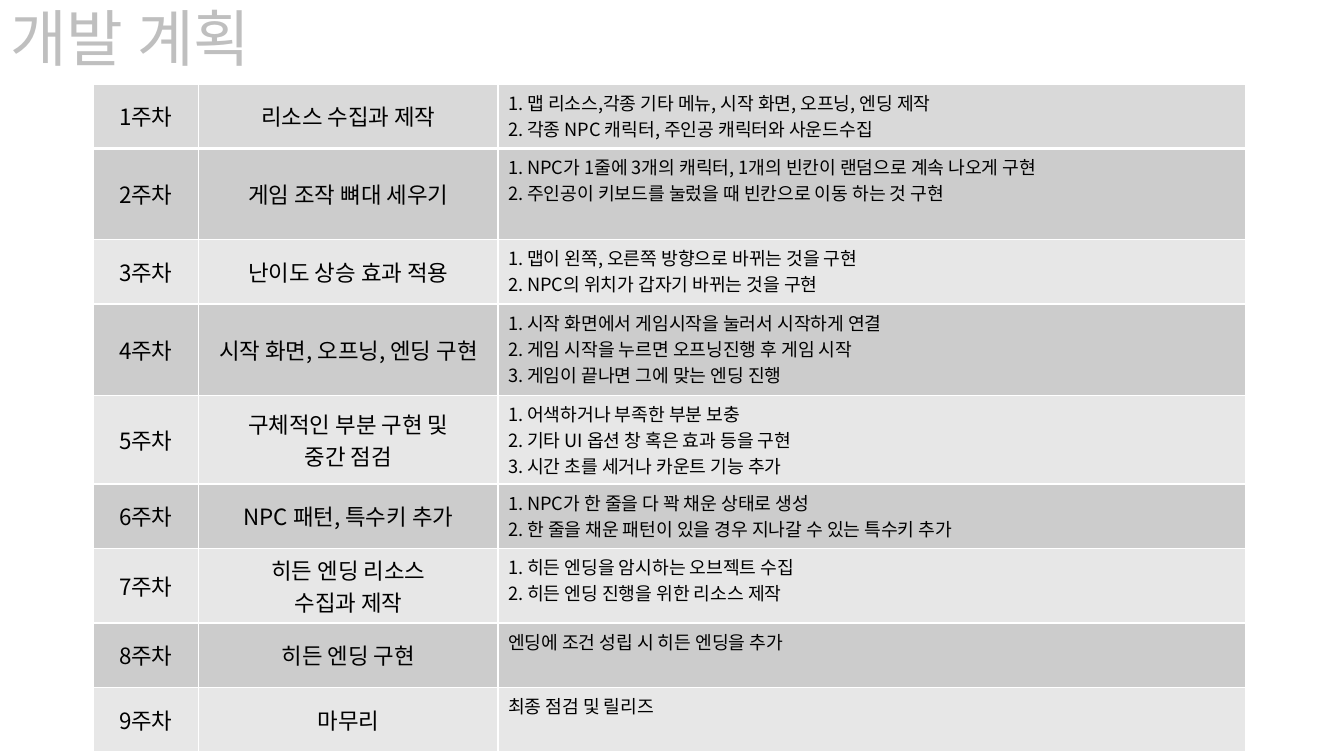
from lxml.etree import SubElement
from pptx import Presentation
from pptx.dml.color import RGBColor
from pptx.enum.text import MSO_ANCHOR as Anchor, PP_ALIGN as Align
from pptx.oxml import parse_xml
from pptx.oxml.ns import nsdecls, qn
from pptx.util import Pt

FONT = "Noto Sans CJK KR"
TITLE_GRAY = RGBColor(0xBF, 0xBF, 0xBF)
BLACK = RGBColor(0, 0, 0)
HEADER_GRAY = RGBColor(0xD9, 0xD9, 0xD9)
DARK_GRAY = RGBColor(0xCC, 0xCC, 0xCC)
LIGHT_GRAY = RGBColor(0xE7, 0xE7, 0xE7)
WHITE = RGBColor(0xFF, 0xFF, 0xFF)

# Topic, details and row height for each week
WEEKS = [
    ("리소스 수집과 제작",
     "1. 맵 리소스,각종 기타 메뉴, 시작 화면, 오프닝, 엔딩 제작\n"
     "2. 각종 NPC 캐릭터, 주인공 캐릭터와 사운드수집", 46),
    ("게임 조작 뼈대 세우기",
     "1. NPC가 1줄에 3개의 캐릭터, 1개의 빈칸이 랜덤으로 계속 나오게 구현\n"
     "2. 주인공이 키보드를 눌렀을 때 빈칸으로 이동 하는 것 구현", 65.2),
    ("난이도 상승 효과 적용",
     "1. 맵이 왼쪽, 오른쪽 방향으로 바뀌는 것을 구현\n"
     "2. NPC의 위치가 갑자기 바뀌는 것을 구현", 46),
    ("시작 화면, 오프닝, 엔딩 구현",
     "1. 시작 화면에서 게임시작을 눌러서 시작하게 연결\n"
     "2. 게임 시작을 누르면 오프닝진행 후 게임 시작\n"
     "3. 게임이 끝나면 그에 맞는 엔딩 진행", 65.2),
    ("구체적인 부분 구현 및\n중간 점검",
     "1. 어색하거나 부족한 부분 보충\n"
     "2. 기타 UI 옵션 창 혹은 효과 등을 구현\n"
     "3. 시간 초를 세거나 카운트 기능 추가", 52),
    ("NPC 패턴, 특수키 추가",
     "1. NPC가 한 줄을 다 꽉 채운 상태로 생성\n"
     "2. 한 줄을 채운 패턴이 있을 경우 지나갈 수 있는 특수키 추가", 46),
    ("히든 엔딩 리소스\n수집과 제작",
     "1. 히든 엔딩을 암시하는 오브젝트 수집\n"
     "2. 히든 엔딩 진행을 위한 리소스 제작", 46),
    ("히든 엔딩 구현", "엔딩에 조건 성립 시 히든 엔딩을 추가", 46),
    ("마무리", "최종 점검 및 릴리즈", 46),
]
COLUMN_WIDTHS = [75.6, 213.8, 534.2]


def format_text(frame, size, color, align):
    for para in frame.paragraphs:
        para.alignment = align
        for span in para.runs:
            span.font.name = FONT
            span.font.size = Pt(size)
            span.font.color.rgb = color
            SubElement(span.font._element, qn("a:ea"), typeface=FONT)


def set_borders(cell, bottom_width, top_width):
    widths = {"L": 1, "R": 1, "T": top_width, "B": bottom_width}
    for position, (side, width) in enumerate(widths.items()):
        line = parse_xml(
            f'<a:ln{side} {nsdecls("a")} w="{Pt(width)}"><a:solidFill>'
            f'<a:srgbClr val="{WHITE}"/></a:solidFill></a:ln{side}>')
        cell._tc.get_or_add_tcPr().insert(position, line)


deck = Presentation()
deck.slide_width, deck.slide_height = Pt(960), Pt(540)
page = deck.slides.add_slide(deck.slide_layouts[5])

# Title
title = page.shapes.title
title.left, title.top, title.width, title.height = Pt(0), Pt(0), Pt(242), Pt(60)
title.text_frame.text = "개발 계획"
title.text_frame.vertical_anchor = Anchor.MIDDLE
title.text_frame.paragraphs[0].line_spacing = 0.9
format_text(title.text_frame, 44, TITLE_GRAY, Align.LEFT)

# Weekly schedule table
schedule = page.shapes.add_table(len(WEEKS), len(COLUMN_WIDTHS), Pt(66.4), Pt(60),
                                 Pt(sum(COLUMN_WIDTHS)), Pt(458.4)).table
schedule.first_row = False
schedule.horz_banding = False
for column, width in zip(schedule.columns, COLUMN_WIDTHS):
    column.width = Pt(width)

for index, (topic, details, height) in enumerate(WEEKS):
    schedule.rows[index].height = Pt(height)
    if index == 0:
        fill_color = HEADER_GRAY
    else:
        fill_color = DARK_GRAY if index % 2 else LIGHT_GRAY
    for column_index, text in enumerate((f"{index + 1}주차", topic, details)):
        cell = schedule.cell(index, column_index)
        cell.text_frame.text = text
        cell.fill.solid()
        cell.fill.fore_color.rgb = fill_color
        set_borders(cell, 3 if index == 0 else 1, 3 if index == 1 else 1)
        if column_index < 2:
            cell.vertical_anchor = Anchor.MIDDLE
            format_text(cell.text_frame, 16, BLACK, Align.CENTER)
        else:
            format_text(cell.text_frame, 13, BLACK, Align.LEFT)

deck.save("out.pptx")
